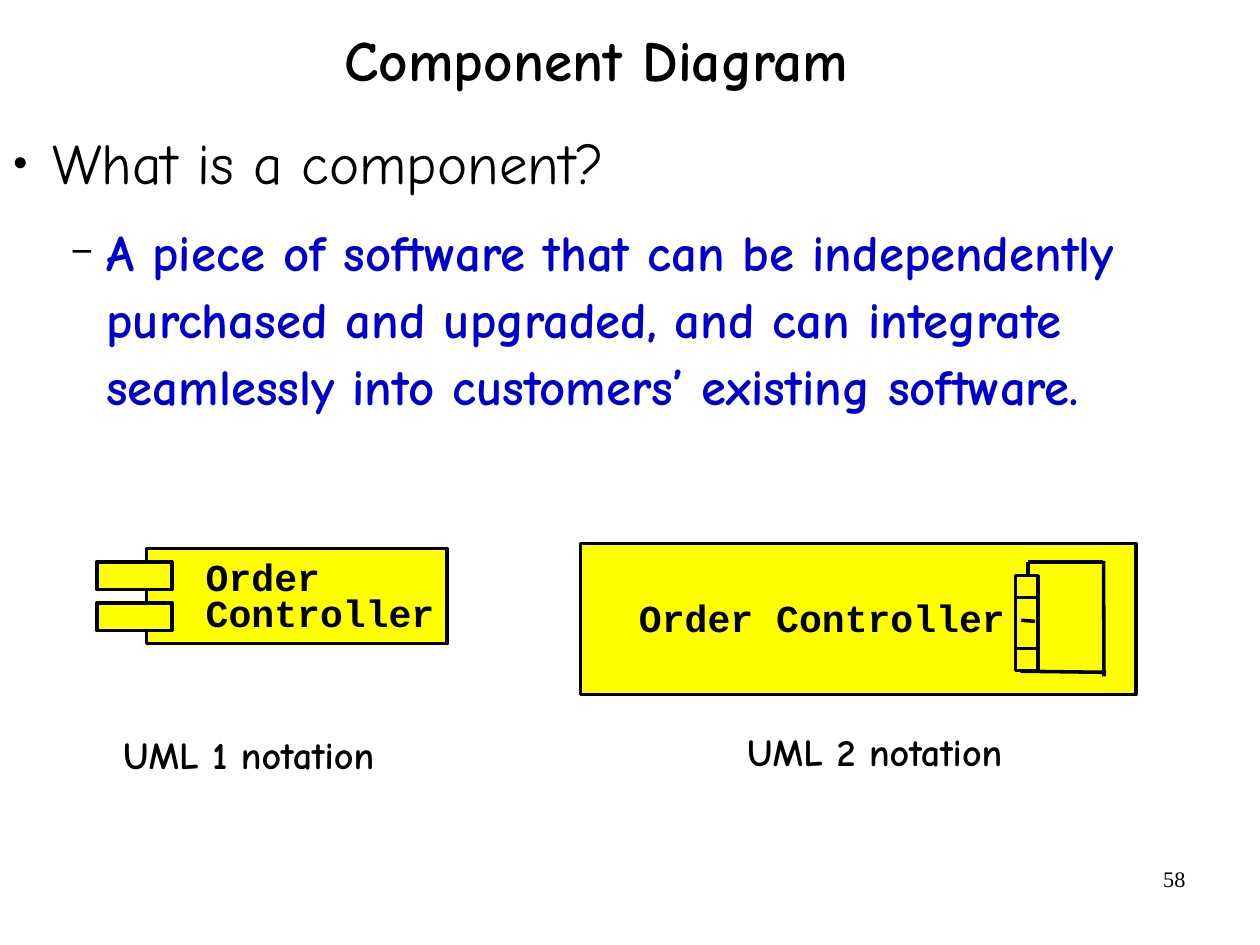
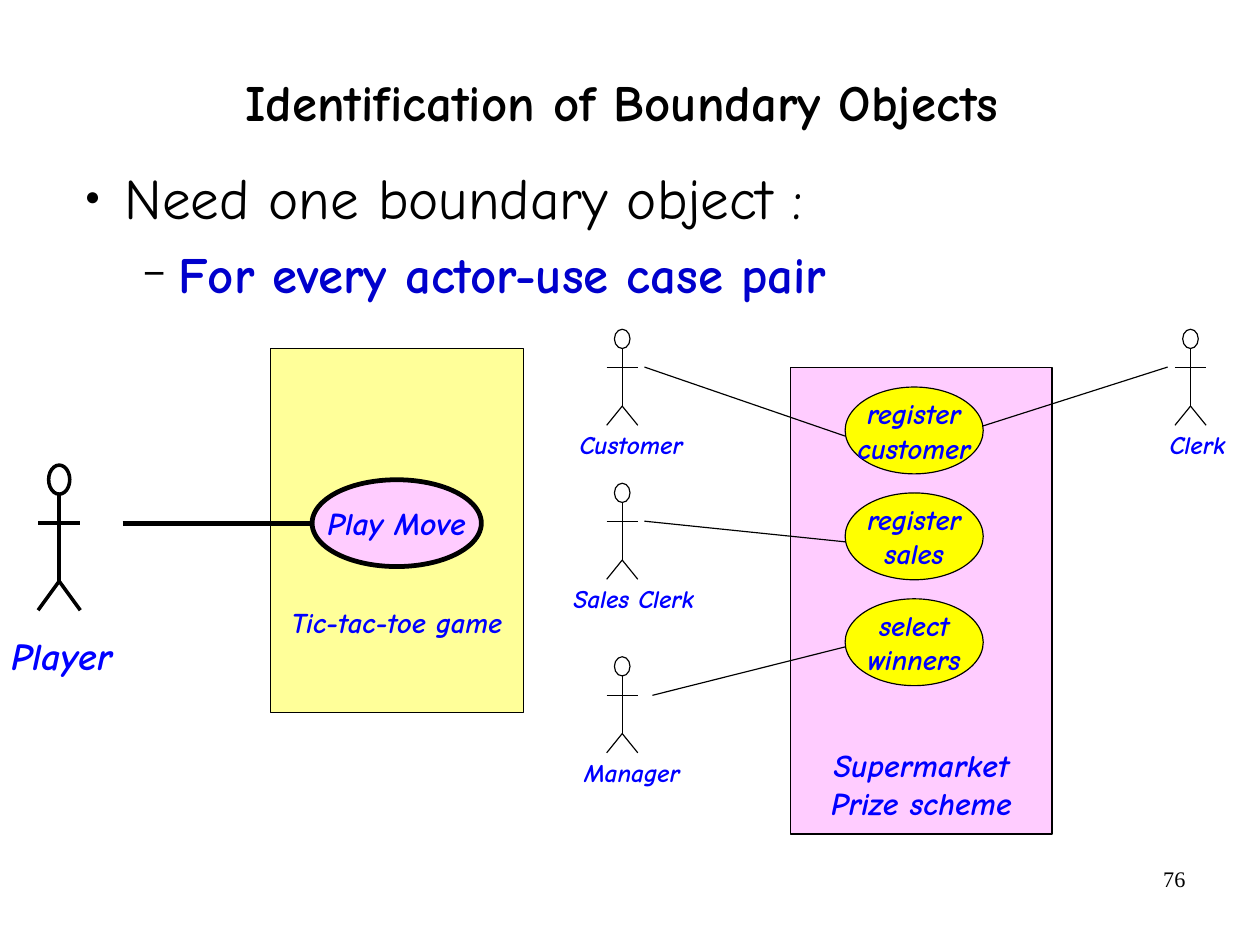
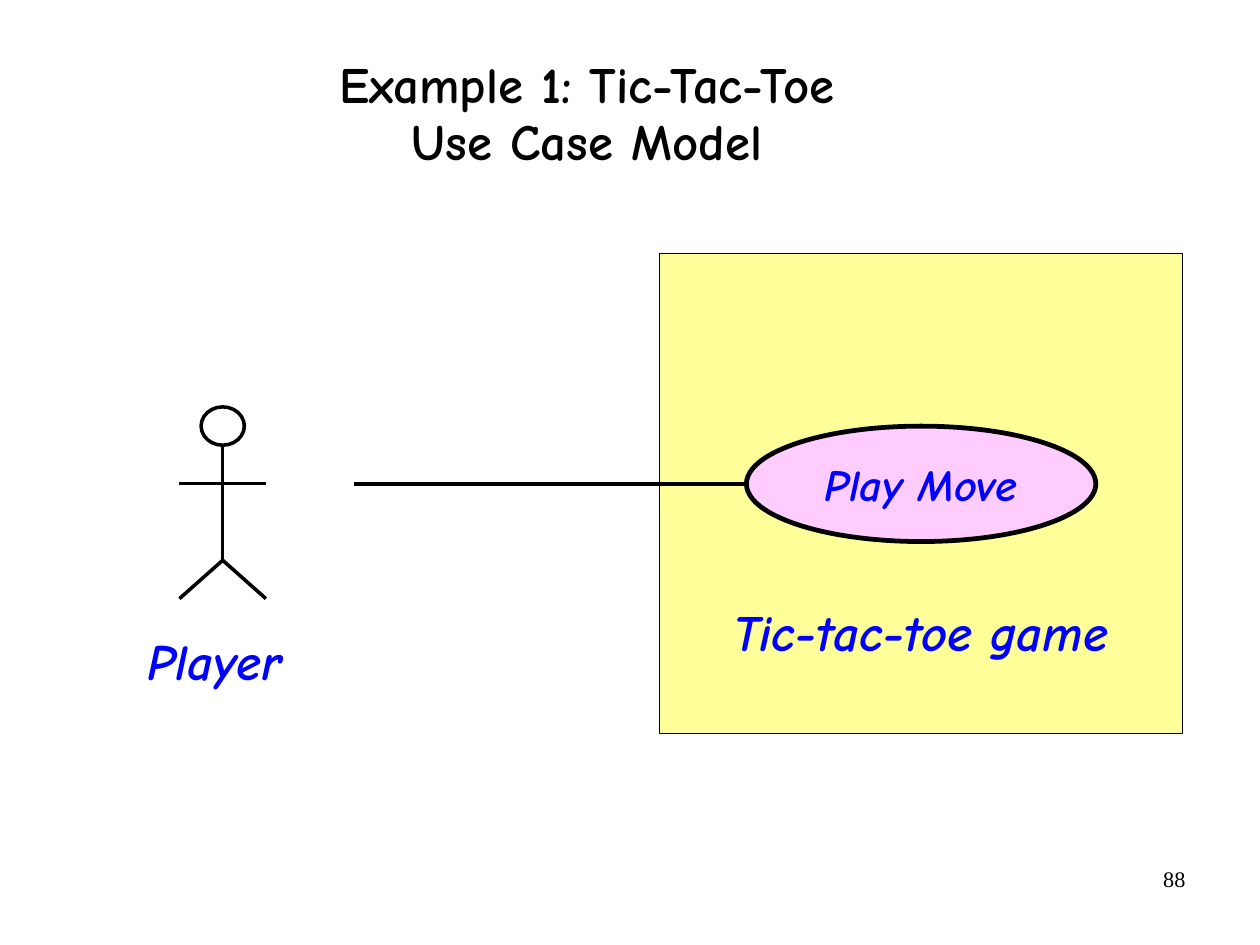
from dataclasses import dataclass
from typing import NamedTuple

from lxml import etree
from pptx import Presentation
from pptx.dml.color import RGBColor
from pptx.enum.shapes import MSO_CONNECTOR, MSO_SHAPE
from pptx.enum.text import MSO_ANCHOR, MSO_AUTO_SIZE, PP_ALIGN
from pptx.oxml.ns import qn
from pptx.presentation import Presentation as Deck
from pptx.shapes.autoshape import Shape
from pptx.slide import Slide
from pptx.text.text import TextFrame
from pptx.util import Pt

LEFT, CENTER, RIGHT = PP_ALIGN.LEFT, PP_ALIGN.CENTER, PP_ALIGN.RIGHT
TOP, MIDDLE, BOTTOM = MSO_ANCHOR.TOP, MSO_ANCHOR.MIDDLE, MSO_ANCHOR.BOTTOM
RECTANGLE, OVAL = MSO_SHAPE.RECTANGLE, MSO_SHAPE.OVAL
STRAIGHT = MSO_CONNECTOR.STRAIGHT
NO_AUTOFIT = MSO_AUTO_SIZE.NONE
TITLE_AND_CONTENT, TITLE_ONLY = 1, 5


# Theme: colours, fonts, type sizes and line widths
@dataclass(frozen=True)
class Theme:
    black: str = "000000"
    blue: str = "0000FF"
    deep_blue: str = "0000CC"
    yellow: str = "FFFF00"
    pale_yellow: str = "FFFF99"
    pink: str = "FFCCFF"
    hand: str = "Comic Neue"
    mono: str = "Courier New"
    serif: str = "Times New Roman"
    huge: float = 36
    large: float = 32
    big: float = 28
    medium: float = 24
    normal: float = 20
    small: float = 18
    tiny: float = 16
    page: float = 14
    thin: float = 0.75
    bold_line: float = 2.25
    heavy: float = 3


THEME = Theme()


class Box(NamedTuple):
    left: float
    top: float
    width: float
    height: float


class Segment(NamedTuple):
    x1: float
    y1: float
    x2: float
    y2: float


class Insets(NamedTuple):
    left: float = 0
    bottom: float = 0


class Type(NamedTuple):
    size: float
    color: str = THEME.black
    font: str = THEME.hand
    bold: bool = True
    italic: bool = False


class Bullet(NamedTuple):
    char: str
    percent: int
    margin: float
    hanging: float


class Point(NamedTuple):
    text: str
    level: int
    spacing: float
    before: float
    after: float


@dataclass(frozen=True)
class Actor:
    name: str
    center: float
    top: float
    width: float
    height: float
    line: float
    size: float
    label_center: float
    label_width: float
    label_gap: float


@dataclass(frozen=True)
class UseCase:
    text: tuple[str, ...]
    box: Box
    fill: str
    line: float
    size: float


@dataclass(frozen=True)
class System:
    text: tuple[str, ...]
    box: Box
    fill: str
    size: float
    label_lift: float


@dataclass(frozen=True)
class UseCaseModel:
    system: System
    use_cases: tuple[UseCase, ...]
    actors: tuple[Actor, ...]
    links: tuple[Segment, ...]
    link_width: float


BULLETS = (Bullet("●", 45, 33, 25), Bullet("−", 75, 67, 22.3))
POINT_TYPES = (Type(THEME.huge, bold=False), Type(THEME.large, THEME.deep_blue))
CODE = Type(THEME.medium, font=THEME.mono)


def diagram_type(size: float) -> Type:
    return Type(size, THEME.blue, italic=True)


# Text
def add_run(paragraph, text: str, style: Type) -> None:
    run = paragraph.add_run()
    run.text = text
    run.font.name = style.font
    run.font.size = Pt(style.size)
    run.font.bold = style.bold
    run.font.italic = style.italic
    run.font.color.rgb = RGBColor.from_string(style.color)


def set_frame(frame: TextFrame, anchor=TOP, insets: Insets = Insets(), wrap: bool = True) -> None:
    frame.auto_size = NO_AUTOFIT
    frame.word_wrap = wrap
    frame.vertical_anchor = anchor
    frame.margin_left, frame.margin_bottom = Pt(insets.left), Pt(insets.bottom)
    frame.margin_right = frame.margin_top = Pt(0)


def write_lines(frame: TextFrame, lines: tuple[str, ...], style: Type, align=LEFT,
                spacing: float = 1.0) -> None:
    for index, line in enumerate(lines):
        paragraph = frame.add_paragraph() if index else frame.paragraphs[0]
        paragraph.alignment = align
        paragraph.line_spacing = spacing
        add_run(paragraph, line, style)


def add_label(slide: Slide, box: Box, lines: tuple[str, ...], style: Type, align=LEFT,
              spacing: float = 1.0) -> None:
    frame = slide.shapes.add_textbox(*map(Pt, box)).text_frame
    set_frame(frame)
    write_lines(frame, lines, style, align, spacing)


# Placeholders
def place(shape, box: Box) -> None:
    shape.left, shape.top, shape.width, shape.height = map(Pt, box)


def add_slide(deck: Deck, layout: int, page: str, title: tuple[str, ...], title_box: Box,
              title_size: float, spacing: float = 0.88) -> Slide:
    slide = deck.slides.add_slide(deck.slide_layouts[layout])
    heading = slide.shapes.title
    place(heading, title_box)
    set_frame(heading.text_frame, MIDDLE)
    paragraph = heading.text_frame.paragraphs[0]
    paragraph.alignment = CENTER
    paragraph.line_spacing = spacing
    paragraph.space_before = Pt(0)
    for index, line in enumerate(title):
        if index:
            paragraph.add_line_break()
        add_run(paragraph, line, Type(title_size))
    add_label(slide, Box(646.8, 545.2, 100, 20), (page,),
              Type(THEME.page, font=THEME.serif, bold=False), RIGHT)
    return slide


def set_bullet(paragraph, bullet: Bullet) -> None:
    properties = paragraph._p.get_or_add_pPr()
    properties.set("marL", str(Pt(bullet.margin)))
    properties.set("indent", str(-Pt(bullet.hanging)))
    color = etree.SubElement(properties, qn("a:buClr"))
    etree.SubElement(color, qn("a:srgbClr"), val=THEME.black)
    etree.SubElement(properties, qn("a:buSzPct"), val=str(bullet.percent * 1000))
    etree.SubElement(properties, qn("a:buChar"), char=bullet.char)


def fill_body(slide: Slide, box: Box, points: tuple[Point, ...]) -> None:
    body = slide.placeholders[1]
    place(body, box)
    set_frame(body.text_frame)
    for index, point in enumerate(points):
        paragraph = body.text_frame.add_paragraph() if index else body.text_frame.paragraphs[0]
        paragraph.level = point.level
        set_bullet(paragraph, BULLETS[point.level])
        paragraph.alignment = LEFT
        paragraph.line_spacing = point.spacing
        paragraph.space_before = Pt(point.before)
        paragraph.space_after = Pt(point.after)
        add_run(paragraph, point.text, POINT_TYPES[point.level])


# Drawing
def add_outline(slide: Slide, kind, box: Box, width: float, fill: str | None = None) -> Shape:
    shape = slide.shapes.add_shape(kind, *map(Pt, box))
    shape.shadow.inherit = False
    if fill:
        shape.fill.solid()
        shape.fill.fore_color.rgb = RGBColor.from_string(fill)
    else:
        shape.fill.background()
    shape.line.color.rgb = RGBColor.from_string(THEME.black)
    shape.line.width = Pt(width)
    return shape


def add_line(slide: Slide, segment: Segment, width: float) -> None:
    line = slide.shapes.add_connector(STRAIGHT, *map(Pt, segment))
    line.line.color.rgb = RGBColor.from_string(THEME.black)
    line.line.width = Pt(width)
    etree.SubElement(line._element.spPr, qn("a:effectLst"))


def draw_actor(slide: Slide, actor: Actor) -> None:
    center, half = actor.center, actor.width / 2
    left, right = center - half, center + half
    neck, arms, hip, feet = (actor.top + actor.height * part for part in (0.2, 0.4, 0.8, 1))
    add_outline(slide, OVAL, Box(center - half / 2, actor.top, half, neck - actor.top), actor.line)
    for limb in (Segment(center, neck, center, hip), Segment(left, arms, right, arms),
                 Segment(left, feet, center, hip), Segment(center, hip, right, feet)):
        add_line(slide, limb, actor.line)
    label = Box(actor.label_center - actor.label_width / 2, feet + actor.label_gap,
                actor.label_width, actor.size * 1.3)
    add_label(slide, label, (actor.name,), diagram_type(actor.size), CENTER)


def draw_model(slide: Slide, model: UseCaseModel) -> None:
    system = model.system
    frame = add_outline(slide, RECTANGLE, system.box, THEME.thin, system.fill).text_frame
    set_frame(frame, BOTTOM, Insets(bottom=system.label_lift), wrap=False)
    write_lines(frame, system.text, diagram_type(system.size), CENTER)
    for case in model.use_cases:
        frame = add_outline(slide, OVAL, case.box, case.line, case.fill).text_frame
        set_frame(frame, MIDDLE, wrap=False)
        write_lines(frame, case.text, diagram_type(case.size), CENTER)
    for actor in model.actors:
        draw_actor(slide, actor)
    for link in model.links:
        add_line(slide, link, model.link_width)


# Slide: component diagram
def build_components(deck: Deck) -> None:
    slide = add_slide(deck, TITLE_AND_CONTENT, "58", ("Component Diagram",),
                      Box(37.2, 0, 677, 80.5), THEME.huge)
    fill_body(slide, Box(0, 75.6, 787, 453.6), (
        Point("What is a component?", 0, 1.1, 0, 6),
        Point("A piece of software that can be independently purchased and upgraded, "
              "and can integrate seamlessly into customers’ existing software.", 1, 1.1, 6, 6)))

    # UML 1: box with two tabs
    add_outline(slide, RECTANGLE, Box(92.2, 345.5, 189.5, 60), THEME.bold_line, THEME.yellow)
    for tab in range(2):
        add_outline(slide, RECTANGLE, Box(61, 354, 47.5, 17.3)._replace(top=354 + 25.8 * tab),
                    THEME.bold_line, THEME.yellow)
    add_label(slide, Box(129.6, 353.9, 160, 48), ("Order", "Controller"), CODE, spacing=0.8)

    # UML 2: box with a component icon
    component = add_outline(slide, RECTANGLE, Box(365.8, 342.4, 350, 95),
                            THEME.bold_line, THEME.yellow)
    set_frame(component.text_frame, MIDDLE, Insets(left=36.7, bottom=2))
    write_lines(component.text_frame, ("Order Controller",), CODE)
    for port in range(2):
        add_outline(slide, RECTANGLE, Box(639.7, 362.6 + 13.7 * port, 14.4, 46), THEME.bold_line)
    for edge in (Segment(647.7, 354, 694.7, 354), Segment(642.8, 422.8, 696.8, 423.5),
                 Segment(695.2, 353.3, 695.5, 426), Segment(647.7, 354, 647.7, 362.6),
                 Segment(652, 391.4, 643.4, 390.7)):
        add_line(slide, edge, THEME.bold_line)

    for caption, left, top in (("UML 1 notation", 77.5, 461), ("UML 2 notation", 470.7, 458.6)):
        add_label(slide, Box(left, top, 190, 30), (caption,), Type(THEME.medium))


# Slide: boundary objects
def build_boundaries(deck: Deck) -> None:
    slide = add_slide(deck, TITLE_AND_CONTENT, "76", ("Identification of Boundary Objects",),
                      Box(4.7, 22.3, 774.5, 88), THEME.large)
    fill_body(slide, Box(45.4, 97.8, 748, 450), (
        Point("Need one boundary object :", 0, 1.1, 0, 0),
        Point("For every actor-use case pair", 1, 1.2, 0, 6)))

    draw_model(slide, UseCaseModel(
        System(("Tic-tac-toe game",), Box(170.2, 219.6, 159.6, 229), THEME.pale_yellow,
               THEME.small, 46.1),
        (UseCase(("Play Move",), Box(196.6, 302.2, 106.6, 54.7), THEME.pink,
                 THEME.heavy, THEME.normal),),
        (Actor("Player", 37.3, 293, 26.6, 91.4, THEME.bold_line, THEME.medium, 38.8, 76, 14),),
        (Segment(77.2, 329.6, 196.6, 329.6),),
        THEME.heavy))

    cases = (("register", "customer"), ("register", "sales"), ("select", "winners"))
    people = (("Customer", 392, 207.4, 397.7, 90), ("Sales Clerk", 392, 304.4, 399.3, 100),
              ("Manager", 392, 413.7, 398.2, 90), ("Clerk", 750, 207.4, 754.4, 70))
    draw_model(slide, UseCaseModel(
        System(("Supermarket", "Prize scheme"), Box(498.2, 231.6, 164.6, 293.8), THEME.pink,
               THEME.normal, 7.6),
        tuple(UseCase(text, Box(532.4, 243.8 + 66.7 * row, 87, 54.7), THEME.yellow,
                      THEME.thin, THEME.small) for row, text in enumerate(cases)),
        tuple(Actor(name, center, top, 19.6, 60.5, THEME.thin, THEME.tiny,
                    label_center, label_width, 2.5)
              for name, center, top, label_center, label_width in people),
        (Segment(532.4, 274.7, 406, 231.2), Segment(532.4, 341.3, 406, 328.3),
         Segment(532.4, 407.5, 411, 438), Segment(619, 268.4, 735.6, 231.2)),
        THEME.thin))


# Slide: tic-tac-toe use case model
def build_game(deck: Deck) -> None:
    slide = add_slide(deck, TITLE_ONLY, "88", ("Example 1: Tic-Tac-Toe", "Use Case Model"),
                      Box(0, 21.4, 739.8, 102.2), THEME.large, 0.94)
    draw_model(slide, UseCaseModel(
        System(("Tic-tac-toe game",), Box(415.4, 159.8, 329.5, 302.2), THEME.pale_yellow,
               THEME.large, 45.5),
        (UseCase(("Play Move",), Box(470.2, 268.4, 220.1, 72.7), THEME.pink,
                 THEME.heavy, THEME.big),),
        (Actor("Player", 140.3, 256.3, 54.5, 120.8, THEME.bold_line, THEME.large,
               135.2, 110, 19.8),),
        (Segment(223.2, 304.9, 470.2, 304.9),),
        THEME.heavy))


def main() -> None:
    deck = Presentation()
    deck.slide_width, deck.slide_height = Pt(793.75), Pt(595.25)
    build_components(deck)
    build_boundaries(deck)
    build_game(deck)
    deck.save("out.pptx")


if __name__ == "__main__":
    main()
